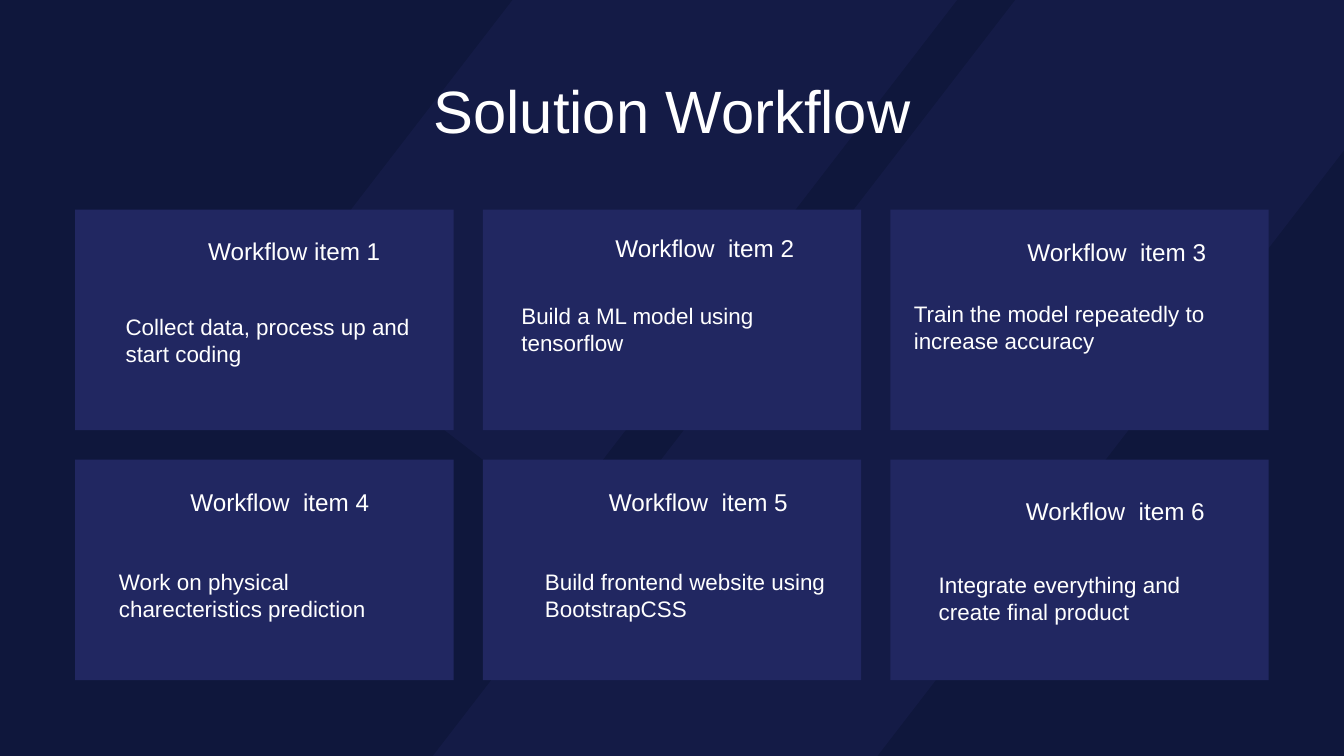
from lxml import etree
from pptx import Presentation
from pptx.dml.color import RGBColor
from pptx.enum import shapes, text
from pptx.oxml.ns import qn
from pptx.util import Inches, Pt

HUES = {"back": "0F173C", "band": "4642A1", "card": "212761", "text": "FFFFFF"}
TITLE = "Solution Workflow"

# left, top, width, height of the slanted bands
BANDS = [(10.95, -2.86, 5.24, 18.3), (6.62, -2.73, 5.24, 9.86)]

# head, its box, line spacing, body, its left and top; row by row
ITEMS = [
    ("Workflow item 1", (2.94, 3.34, 2.88, 0.59), 1.4,
     "Collect data, process up and start coding", (1.77, 4.61)),
    ("Workflow  item 2", (7.24, 3.39, 6.5, 0.54), 1.2,
     "Build a ML model using tensorflow", (7.66, 4.45)),
    ("Workflow  item 3", (15.07, 3.45, 3.1, 0.54), 1.2,
     "Train the model repeatedly to increase accuracy", (13.5, 4.42)),
    ("Workflow  item 4", (1.35, 7.16, 5.63, 0.54), 1.2,
     "Work on physical charecteristics prediction", (1.67, 8.41)),
    ("Workflow  item 5", (7.58, 7.17, 5.63, 0.54), 1.2,
     "Build frontend website using BootstrapCSS", (8.01, 8.41)),
    ("Workflow  item 6", (15.05, 7.3, 3.1, 0.54), 1.2,
     "Integrate everything and create final product", (13.87, 8.45)),
]
COLS = 3
CARD = (5.63, 3.28)
START = (1.12, 3.12)
STEP = (6.065, 3.72)
BODY = (4.72, 0.91)


def hue(name):
    return RGBColor.from_string(HUES[name])


def block(slide, box, name):
    shape = slide.shapes.add_shape(
        shapes.MSO_SHAPE.RECTANGLE, *map(Inches, box))
    shape.shadow.inherit = False
    shape.fill.solid()
    shape.fill.fore_color.rgb = hue(name)
    shape.line.fill.background()
    return shape


def write(shape, words, size, **para):
    frame = shape.text_frame
    look = {"word_wrap": True, "vertical_anchor": text.MSO_ANCHOR.TOP,
            "auto_size": text.MSO_AUTO_SIZE.SHAPE_TO_FIT_TEXT}
    for key, val in look.items():
        setattr(frame, key, val)
    frame.text = words
    line = frame.paragraphs[0]
    for key, val in para.items():
        setattr(line, key, val)
    font = line.runs[0].font
    for key, val in {"name": "Arial", "size": Pt(size)}.items():
        setattr(font, key, val)
    font.color.rgb = hue("text")


def head(shape, words, size, space):
    for side in ("left", "top", "right", "bottom"):
        setattr(shape.text_frame, "margin_" + side, 0)
    write(shape, words, size, alignment=text.PP_ALIGN.CENTER,
          line_spacing=space, space_before=Pt(0))


def main():
    deck = Presentation()
    deck.slide_width, deck.slide_height = Inches(20), Inches(11.25)
    slide = deck.slides.add_slide(deck.slide_layouts[5])
    slide.background.fill.solid()
    slide.background.fill.fore_color.rgb = hue("back")

    # Slanted bands, mostly clear
    for box in BANDS:
        band = block(slide, box, "band")
        band.rotation = 37.6
        tint = band.element.spPr.find(".//" + qn("a:srgbClr"))
        etree.SubElement(tint, qn("a:alpha"), val="10000")

    # Grid of cards
    for i in range(len(ITEMS)):
        row, col = divmod(i, COLS)
        spot = (START[0] + col * STEP[0], START[1] + row * STEP[1])
        block(slide, spot + CARD, "card")

    # Title, brought above the bands
    title = slide.shapes.title
    place = {"left": 5.38, "top": 0.89, "width": 9.24, "height": 1.3}
    for key, val in place.items():
        setattr(title, key, Inches(val))
    head(title, TITLE, 64, 1.2)
    title.element.getparent().append(title.element)

    # Card heads and bodies
    for name, box, space, words, spot in ITEMS:
        label = slide.shapes.add_textbox(*map(Inches, box))
        head(label, name, 26, space)
        note = slide.shapes.add_textbox(*map(Inches, spot + BODY))
        write(note, words, 24)

    deck.save("out.pptx")


if __name__ == "__main__":
    main()
